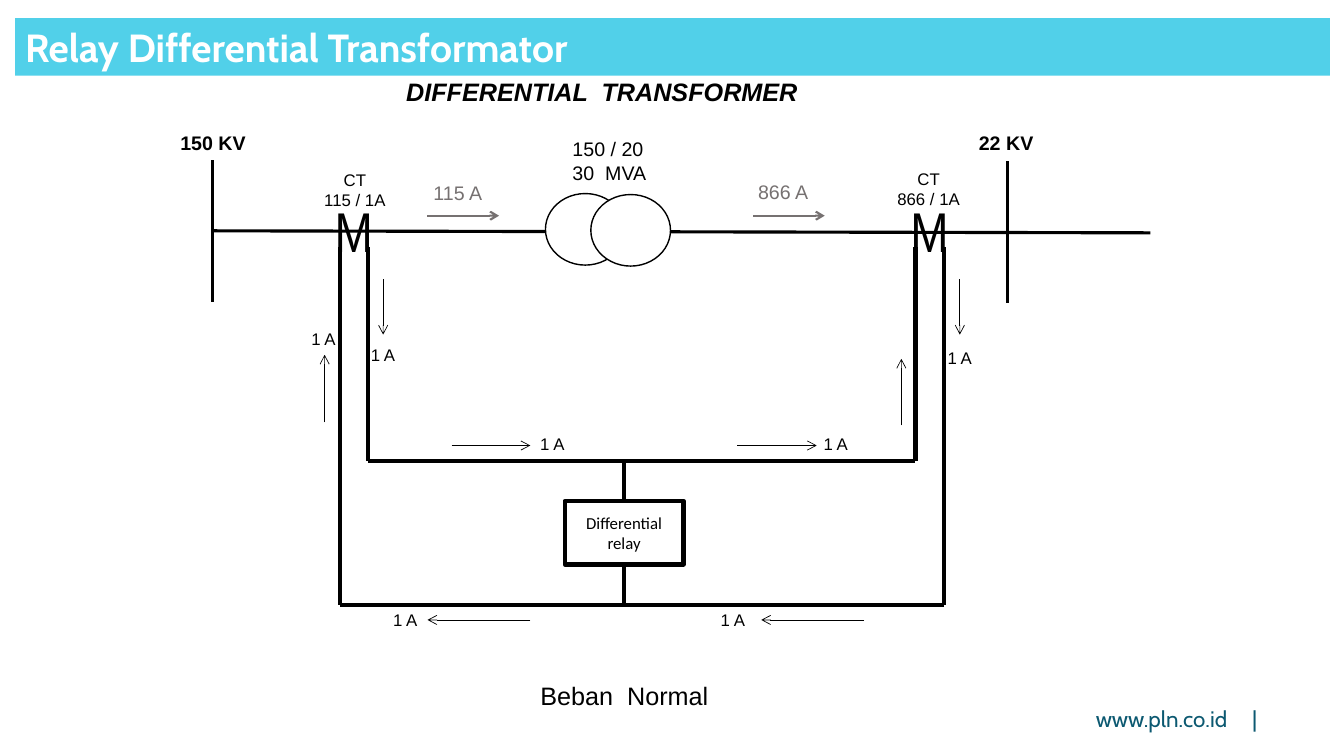
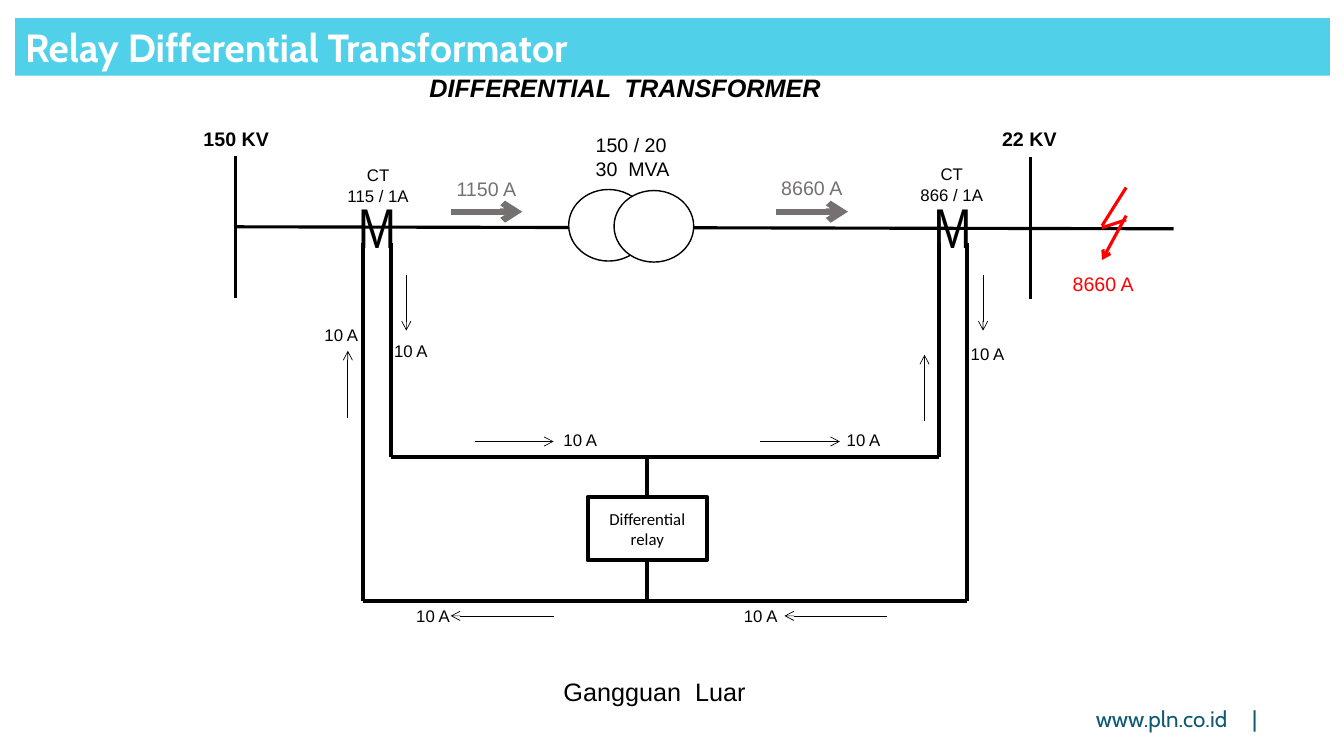
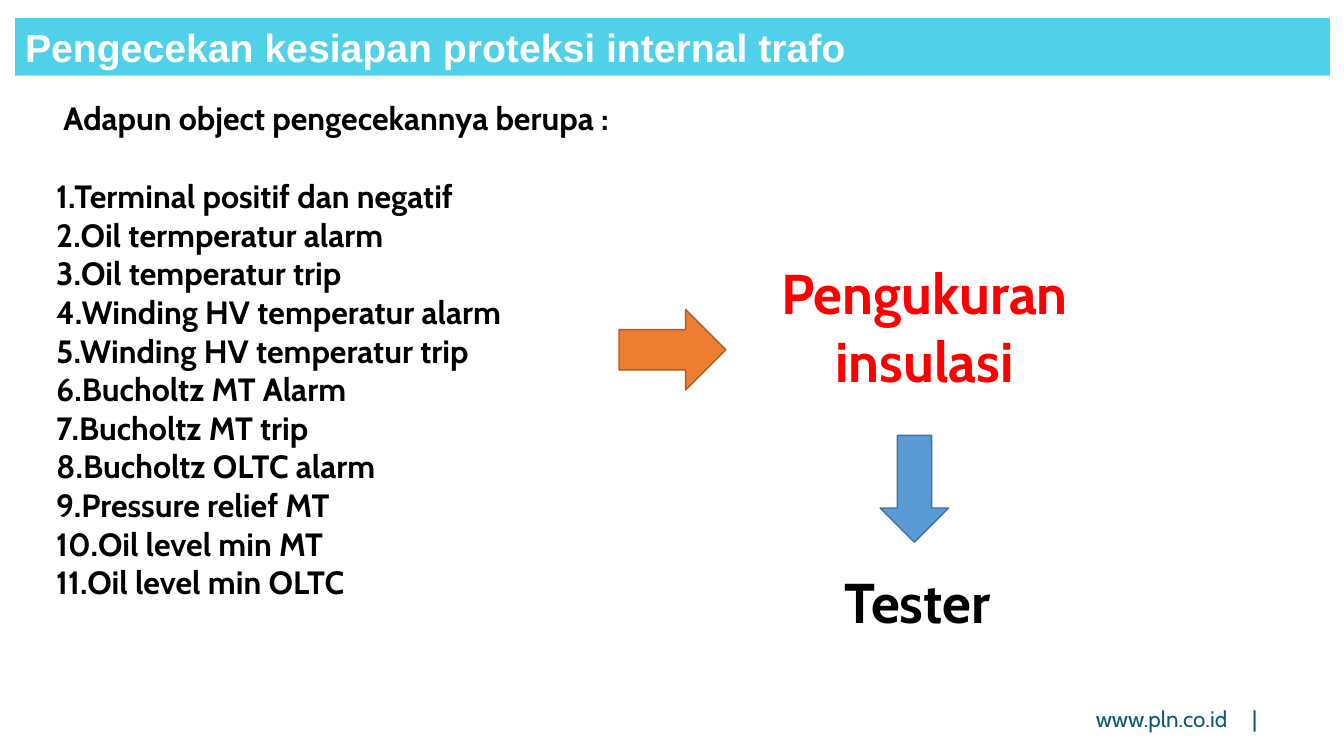
from lxml.etree import SubElement
from pptx import Presentation
from pptx.dml.color import RGBColor
from pptx.enum.shapes import MSO_CONNECTOR, MSO_SHAPE
from pptx.enum.text import MSO_ANCHOR, MSO_AUTO_SIZE, PP_ALIGN
from pptx.oxml.ns import qn
from pptx.util import Inches, Pt

BLACK = RGBColor(0x00, 0x00, 0x00)
WHITE = RGBColor(0xFF, 0xFF, 0xFF)
CYAN = RGBColor(0x51, 0xD0, 0xE9)
TEAL = RGBColor(0x0C, 0x59, 0x71)
GREY = RGBColor(0x76, 0x71, 0x71)
RED = RGBColor(0xFF, 0x00, 0x00)
ORANGE = RGBColor(0xED, 0x7D, 0x31)
RUST = RGBColor(0xAF, 0x5C, 0x24)
BLUE = RGBColor(0x5B, 0x9B, 0xD5)
NAVY = RGBColor(0x43, 0x73, 0x9E)

CHECKS = [
    "Terminal positif dan negatif",
    "Oil termperatur alarm",
    "Oil temperatur trip",
    "Winding HV temperatur alarm",
    "Winding HV temperatur trip",
    "Bucholtz MT Alarm",
    "Bucholtz MT trip",
    "Bucholtz OLTC alarm",
    "Pressure relief MT",
    "Oil level min MT",
    "Oil level min OLTC",
]


def style(frame, size, color=BLACK, font="Arial", bold=False, italic=False, align=PP_ALIGN.LEFT):
    for para in frame.paragraphs:
        para.alignment = align
        for run in para.runs:
            run.font.size = Pt(size)
            run.font.name = font
            run.font.bold = bold
            run.font.italic = italic
            run.font.color.rgb = color


def write(slide, box, text, size, wrap=False, **look):
    frame = slide.shapes.add_textbox(*map(Inches, box)).text_frame
    frame.word_wrap = wrap
    frame.auto_size = MSO_AUTO_SIZE.NONE if wrap else MSO_AUTO_SIZE.SHAPE_TO_FIT_TEXT
    frame.text = text
    style(frame, size, **look)
    return frame


def draw(slide, kind, box, fill, edge=None, width=1):
    shape = slide.shapes.add_shape(kind, *map(Inches, box))
    shape.shadow.inherit = False
    shape.fill.solid()
    shape.fill.fore_color.rgb = fill
    if edge is None:
        shape.line.fill.background()
    else:
        shape.line.color.rgb = edge
        shape.line.width = Pt(width)
    return shape


def link(slide, ends, width, color=BLACK, arrow=False):
    line = slide.shapes.add_connector(MSO_CONNECTOR.STRAIGHT, *map(Inches, ends))
    line.line.color.rgb = color
    line.line.width = Pt(width)
    props = line.element.spPr
    if arrow:
        SubElement(props.find(qn("a:ln")), qn("a:tailEnd"), type="arrow")
    SubElement(props, qn("a:effectLst"))
    return line


def start(deck, title, font="Cabin"):
    slide = deck.slides.add_slide(deck.slide_layouts[6])
    band = draw(slide, MSO_SHAPE.RECTANGLE, (0.15, 0.18, 13.04, 0.57), CYAN)
    band.text_frame.text = title
    style(band.text_frame, 28, WHITE, font, bold=True)
    foot = write(slide, (10.77, 6.95, 1.83, 0.37), "www.pln.co.id\t|", 16, wrap=True,
                 color=TEAL, font="Cabin")
    tabs = SubElement(foot.paragraphs[0]._p.get_or_add_pPr(), qn("a:tabLst"))
    SubElement(tabs, qn("a:tab"), pos=str(Inches(1.55)), algn="l")
    return slide


def circuit(slide, left, top, loads, heavy, amps, state, span):
    def at(x, y, wide, high):
        return left + x, top + y, wide, high

    def wire(x1, y1, x2, y2, width=3, **look):
        return link(slide, (left + x1, top + y1, left + x2, top + y2), width, **look)

    def label(x, y, wide, high, text, size, **look):
        write(slide, at(x, y, wide, high), text, size, **look)

    wire(0.42, 1.58, 9.72, 1.6, 2.25)
    for x, y, tag, tx, wide in ((0.42, 0.88, "150 KV", 0, 0.86), (8.3, 0.89, "22 KV", 7.92, 0.75)):
        wire(x, y, x, y + 1.41, 2.25)
        label(tx, 0.54, wide, 0.34, tag, 14, bold=True)
    for x, y in ((3.72, 1.21), (4.17, 1.22)):
        draw(slide, MSO_SHAPE.OVAL, at(x, y, 0.79, 0.71), WHITE, BLACK)
    label(3.89, 0.6, 0.94, 0.57, "150 / 20\n30  MVA", 14)

    for x, tx, ty, ratio in ((1.53, 1.42, 0.92, "115 / 1A"), (7.24, 7.11, 0.91, "866 / 1A")):
        label(x, 1.19, 0.59, 0.77, "M", 40, font="Arial Narrow")
        label(tx, ty, 0.82, 0.5, "CT\n" + ratio, 12, align=PP_ALIGN.CENTER)

    for x1, x2, y in ((1.96, 7.39, 3.86), (1.68, 7.67, 5.29)):
        for x in (x1, x2):
            wire(x, 1.74, x, y)
        wire(x1, y, x2, y)
    relay = draw(slide, MSO_SHAPE.RECTANGLE, at(3.91, 4.26, 1.18, 0.63), WHITE, BLACK, 3)
    relay.text_frame.word_wrap = True
    relay.text_frame.vertical_anchor = MSO_ANCHOR.MIDDLE
    relay.text_frame.text = "Differential relay"
    style(relay.text_frame, 12, font="Calibri", align=PP_ALIGN.CENTER)
    for y, edge, side in ((3.86, 4.26, 0), (5.29, 4.89, 2)):
        wire(4.5, y, 4.5, edge).end_connect(relay, side)

    for x, tx, ty, load in ((2.55, 2.51, 1.04, loads[0]), (5.78, 5.73, 1.03, loads[1])):
        wire(x, 1.43, x + 0.71, 1.43, heavy, color=GREY, arrow=True)
        label(tx, ty, 0.17 + 0.11 * len(load), 0.34, load, 14, color=GREY)

    for ends in ((2.11, 2.06, 2.11, 2.61), (7.83, 2.06, 7.83, 2.61),
                 (1.53, 3.48, 1.53, 2.81), (7.25, 3.51, 7.25, 2.85),
                 (2.79, 3.71, 3.57, 3.71), (5.62, 3.71, 6.41, 3.71),
                 (3.57, 5.44, 2.55, 5.44), (6.88, 5.44, 5.86, 5.44)):
        wire(*ends, 0.5, arrow=True)
    wide = 0.14 + 0.1 * len(amps)
    for x, y in ((1.74 - wide, 2.5), (1.89, 2.66), (7.61, 2.69), (3.57, 3.54),
                 (6.38, 3.54), (2.11, 5.29), (5.36, 5.29)):
        label(x, y, wide, 0.3, amps, 12)

    label(2.24, 0, 4.12, 0.4, "DIFFERENTIAL  TRANSFORMER", 18, bold=True, italic=True)
    label(3.57, 5.99, span, 0.4, state, 18)


def fault(slide, left, top, load):
    for x1, y1, x2, y2, arrow in ((0.24, 0, 0, 0.38, False), (0, 0.4, 0.24, 0.32, False),
                                  (0.24, 0.28, 0, 0.72, True)):
        link(slide, (left + x1, top + y1, left + x2, top + y2), 2.25, RED, arrow)
    write(slide, (left - 0.39, top + 0.79, 0.81, 0.34), load, 14, color=RED)


def checks(slide, left, top):
    lines = [f"{num}.{item}" for num, item in enumerate(CHECKS, 1)]
    frame = write(slide, (left, top, 9.56, 5.13),
                  "\n".join([" Adapun object pengecekannya berupa :"] + lines),
                  23, wrap=True, font="Cabin", bold=True)
    frame.paragraphs[1].space_before = Pt(28)


def method(slide, left, top):
    for x, y, high, text, color in ((0.79, 0, 1.36, "Pengukuran insulasi", RED),
                                    (0.72, 3.06, 0.78, "Tester", BLACK)):
        write(slide, (left + x, top + y, 4.48, high), text, 40, wrap=True,
              color=color, font="Cabin", bold=True, align=PP_ALIGN.CENTER)
    draw(slide, MSO_SHAPE.RIGHT_ARROW, (left, top + 0.55, 1.06, 0.8), ORANGE, RUST)
    draw(slide, MSO_SHAPE.DOWN_ARROW, (left + 2.59, top + 1.8, 0.68, 1.06), BLUE, NAVY)


def main():
    deck = Presentation()
    deck.slide_width = Inches(13.33)
    deck.slide_height = Inches(7.5)

    topic = "Relay Differential Transformator"
    normal = start(deck, topic)
    circuit(normal, 1.69, 0.71, ("115 A", "866 A"), 1.5, "1 A", "Beban  Normal", 1.88)

    outer = start(deck, topic)
    circuit(outer, 1.92, 0.67, ("1150 A", "8660 A"), 4.5, "10 A", "Gangguan  Luar", 2.02)
    fault(outer, 10.93, 1.86, "8660 A")

    ready = start(deck, "Pengecekan kesiapan proteksi internal trafo", "Arial")
    checks(ready, 0.46, 0.93)
    method(ready, 6.14, 2.52)

    deck.save("out.pptx")


if __name__ == "__main__":
    main()
